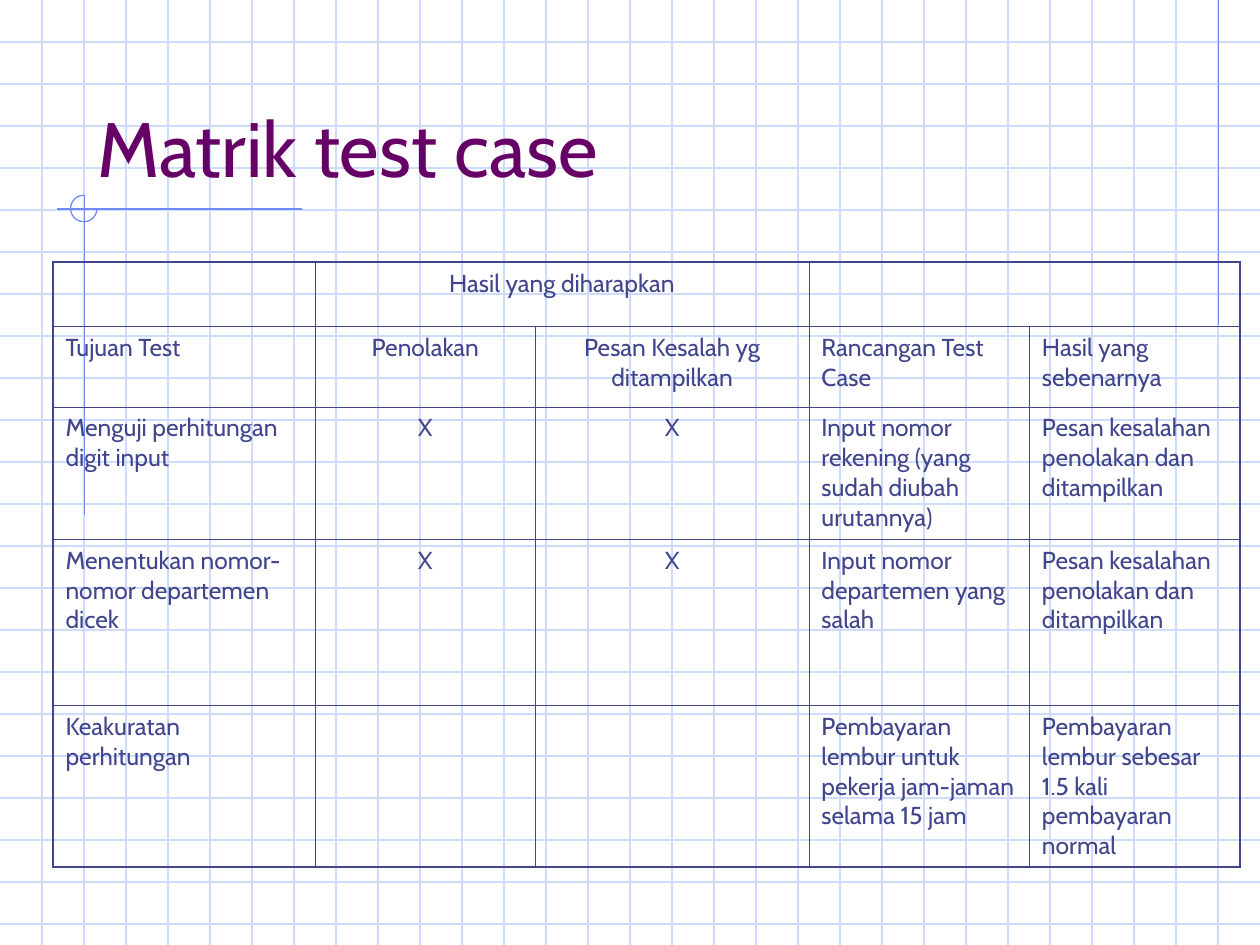
import dataclasses
import pptx
import pptx.util
import pptx.dml.color
import pptx.enum.shapes
import pptx.enum.text
import pptx.oxml
import pptx.oxml.ns
import pptx.slide
import pptx.table
import pptx.text.text

Inches = pptx.util.Inches
Pt = pptx.util.Pt
ALIGN = pptx.enum.text.PP_ALIGN
FONT = "Cabin"
COLORS = {"grid": "CFDBFD", "accent": "6F89F7", "title": "660066", "table": "40458C"}
WIDE, HIGH = 10, 7.5
STEP = 1 / 3
THICK, THIN = 1.08, 0.45
COLS = [2.08, 1.75, 2.17, 1.75, 1.67]
ROWS = [0.51, 0.64, 1.05, 1.32, 1.28]
MIDDLE = (1, 2)
SPANS = [(1, 2), (3, 4)]
CELLS = [
    ["", "Hasil yang diharapkan", "", "", ""],
    ["Tujuan Test", "Penolakan", "Pesan Kesalah yg ditampilkan",
     "Rancangan Test Case", "Hasil yang sebenarnya"],
    ["Menguji perhitungan digit input", "X", "X",
     "Input nomor rekening (yang sudah diubah urutannya)",
     "Pesan kesalahan penolakan dan ditampilkan"],
    ["Menentukan nomor-nomor departemen dicek", "X", "X",
     "Input nomor departemen yang salah",
     "Pesan kesalahan penolakan dan ditampilkan"],
    ["Keakuratan perhitungan", "", "",
     "Pembayaran lembur untuk pekerja jam-jaman selama 15 jam",
     "Pembayaran lembur sebesar 1.5 kali pembayaran normal"],
]


@dataclasses.dataclass
class Line:
    left: float
    top: float
    right: float
    bottom: float
    color: str


def paint(name: str) -> pptx.dml.color.RGBColor:
    return pptx.dml.color.RGBColor.from_string(COLORS[name])


def draw_line(slide: pptx.slide.Slide, line: Line) -> None:
    shape = slide.shapes.add_connector(
        pptx.enum.shapes.MSO_CONNECTOR.STRAIGHT,
        Inches(line.left), Inches(line.top), Inches(line.right), Inches(line.bottom))
    shape.line.color.rgb = paint(line.color)
    shape.line.width = Pt(0.75)
    props = shape.element.spPr
    props.append(pptx.oxml.parse_xml(
        f'<a:effectLst {pptx.oxml.ns.nsdecls("a")}/>'))


def draw_arc(slide: pptx.slide.Slide) -> None:
    arc = slide.shapes.add_shape(
        pptx.enum.shapes.MSO_SHAPE.ARC,
        Inches(0.56), Inches(1.55), Inches(0.21), Inches(0.21))
    arc.adjustments[0] = 0
    arc.adjustments[1] = 162
    arc.shadow.inherit = False
    arc.fill.background()
    arc.line.color.rgb = paint("accent")
    arc.line.width = Pt(0.75)


def style_text(para: pptx.text.text._Paragraph, size: float, color: str) -> None:
    for run in para.runs:
        run.font.name = FONT
        run.font.size = Pt(size)
        run.font.color.rgb = paint(color)


def draw_title(slide: pptx.slide.Slide) -> None:
    title = slide.shapes.title
    title.left, title.top = Inches(0.67), Inches(0.33)
    title.width, title.height = Inches(8.5), Inches(1.25)
    frame = title.text_frame
    frame.text = "Matrik test case"
    frame.auto_size = pptx.enum.text.MSO_AUTO_SIZE.NONE
    frame.vertical_anchor = pptx.enum.text.MSO_ANCHOR.BOTTOM
    frame.paragraphs[0].alignment = ALIGN.LEFT
    style_text(frame.paragraphs[0], 44, "title")
    slide.shapes.element.append(title.element)


def add_edge(cell: pptx.table._Cell, side: str, width: float) -> None:
    cell._tc.get_or_add_tcPr().append(pptx.oxml.parse_xml(
        f'<a:ln{side} {pptx.oxml.ns.nsdecls("a")} w="{Pt(width)}"><a:solidFill>'
        f'<a:srgbClr val="{COLORS["table"]}"/></a:solidFill></a:ln{side}>'))


def draw_cell(table: pptx.table.Table, row: int, col: int) -> None:
    cell = table.cell(row, col)
    last = col + (cell.span_width if cell.is_merge_origin else 1) == len(COLS)
    outer = {"L": col == 0, "R": last, "T": row == 0, "B": row == len(ROWS) - 1}
    for side, edge in outer.items():
        add_edge(cell, side, THICK if edge else THIN)
    cell.fill.background()
    if CELLS[row][col]:
        cell.text_frame.text = CELLS[row][col]
        para = cell.text_frame.paragraphs[0]
        para.alignment = ALIGN.CENTER if col in MIDDLE else ALIGN.LEFT
        style_text(para, 14, "table")


def draw_table(slide: pptx.slide.Slide) -> None:
    table = slide.shapes.add_table(
        len(ROWS), len(COLS), Inches(0.42), Inches(2.08),
        Inches(sum(COLS)), Inches(sum(ROWS))).table
    table.first_row = False
    table.horz_banding = False
    for col, width in enumerate(COLS):
        table.columns[col].width = Inches(width)
    for row, height in enumerate(ROWS):
        table.rows[row].height = Inches(height)
    for start, end in SPANS:
        table.cell(0, start).merge(table.cell(0, end))
    for row in range(len(ROWS)):
        for col in range(len(COLS)):
            draw_cell(table, row, col)


def main() -> None:
    deck = pptx.Presentation()
    deck.slide_width, deck.slide_height = Inches(WIDE), Inches(HIGH)
    slide = deck.slides.add_slide(deck.slide_layouts[5])
    lines = [Line(0, n * STEP, WIDE, n * STEP, "grid") for n in range(1, 23)]
    lines += [Line(n * STEP, 0, n * STEP, HIGH, "grid") for n in range(1, 30)]
    lines += [
        Line(9.67, 0, 9.67, 2.58, "accent"),
        Line(2.4, 1.66, 0.45, 1.66, "accent"),
        Line(0.67, 1.55, 0.67, 4.09, "accent"),
    ]
    for line in lines:
        draw_line(slide, line)
    draw_arc(slide)
    draw_title(slide)
    draw_table(slide)
    deck.save("out.pptx")


if __name__ == "__main__":
    main()
